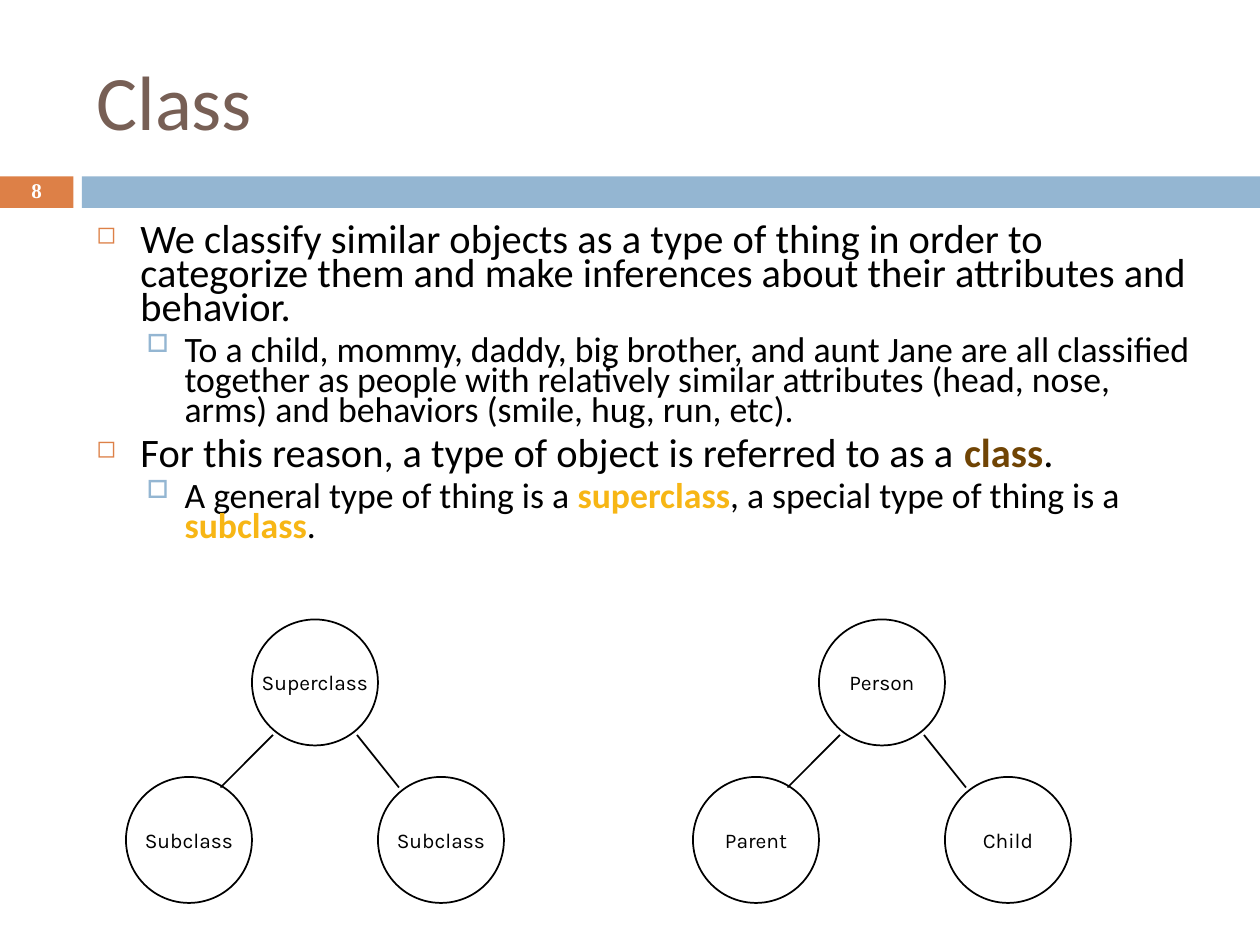
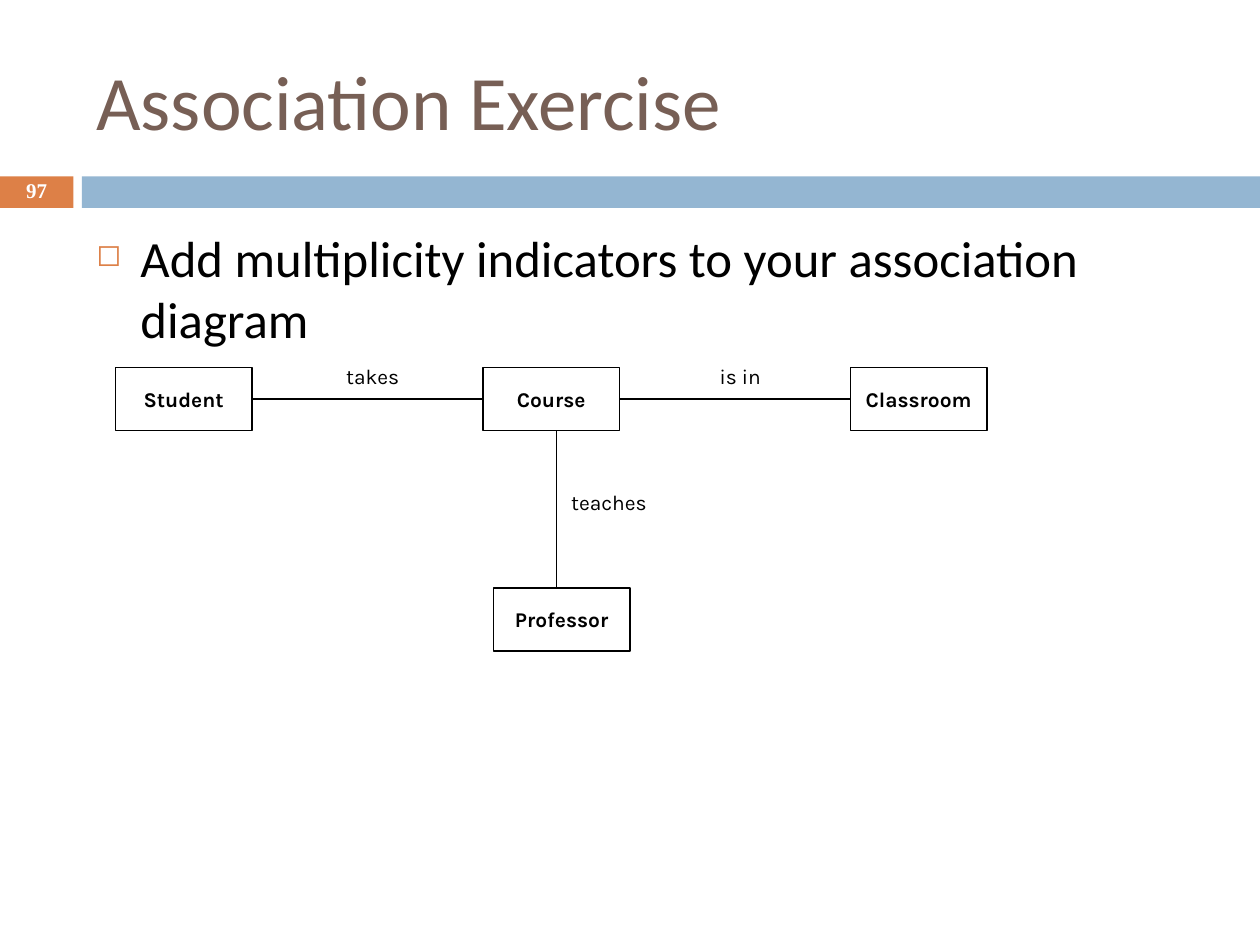
from dataclasses import dataclass

from lxml import etree
from pptx import Presentation
from pptx import util as u
from pptx.dml.color import RGBColor
from pptx.enum import shapes, text
from pptx.oxml import ns


@dataclass(frozen=True)
class Theme:
    title: str = "775F55"
    accent: str = "DD8047"
    band: str = "94B6D2"
    ink: str = "000000"
    paper: str = "FFFFFF"
    brown: str = "704404"
    gold: str = "F7B615"
    heading_font: str = "Calibri"
    label_font: str = "Karla"
    number_font: str = "Times New Roman"
    title_size: float = 44
    label_size: float = 12
    line_width: float = 1


@dataclass(frozen=True)
class Level:
    """Bullet style of one outline level; indents are in inches."""
    bullet: str
    color: str
    percent: int
    left: float
    hanging: float
    before: float


THEME = Theme()
LEVELS = (Level("◻", THEME.accent, 60, 0.35, 0.35, 7),
          Level("□", THEME.band, 70, 0.7, 0.3, 5.5))
COLUMNS, ROWS = 120, 90
WIDTH, HEIGHT = u.Inches(10), u.Inches(7.5)
TEXT_LEFT, TEXT_WIDTH = 8, 107
CENTER = text.PP_ALIGN.CENTER
RECTANGLE = shapes.MSO_SHAPE.RECTANGLE
OVAL = shapes.MSO_SHAPE.OVAL


def grid(*cells):
    """Turn alternating columns and rows into slide lengths."""
    steps = (WIDTH / COLUMNS, HEIGHT / ROWS)
    return [round(cell * steps[i % 2]) for i, cell in enumerate(cells)]


def rgb(color):
    return RGBColor.from_string(color)


def add_span(para, words, size, font, color=THEME.ink, bold=False):
    span = para.add_run()
    span.text = words
    span.font.size = u.Pt(size)
    span.font.name = font
    span.font.bold = bold
    span.font.color.rgb = rgb(color)


def add_box(page, cells, anchor=text.MSO_ANCHOR.TOP):
    box = page.shapes.add_textbox(*grid(*cells))
    box.text_frame.word_wrap = True
    box.text_frame.vertical_anchor = anchor
    return box


def add_shape(page, kind, cells, fill, line=None):
    shape = page.shapes.add_shape(kind, *grid(*cells))
    shape.shadow.inherit = False
    shape.fill.solid()
    shape.fill.fore_color.rgb = rgb(fill)
    if line:
        shape.line.color.rgb = rgb(line)
        shape.line.width = u.Pt(THEME.line_width)
    else:
        shape.line.fill.background()
    return shape


def add_node(page, kind, cells, words, bold=False):
    node = add_shape(page, kind, cells, THEME.paper, THEME.ink)
    frame = node.text_frame
    frame.word_wrap = False
    frame.vertical_anchor = text.MSO_ANCHOR.MIDDLE
    para = frame.paragraphs[0]
    para.alignment = CENTER
    add_span(para, words, THEME.label_size, THEME.label_font, bold=bold)
    return node


def add_line(page, cells=(0, 0, 0, 0)):
    line = page.shapes.add_connector(shapes.MSO_CONNECTOR.STRAIGHT, *grid(*cells))
    line.line.color.rgb = rgb(THEME.ink)
    line.line.width = u.Pt(THEME.line_width)
    etree.SubElement(line._element.spPr, ns.qn("a:effectLst"))
    return line


def join_across(page, left_node, right_node):
    line = add_line(page)
    line.begin_connect(left_node, 3)
    line.end_connect(right_node, 1)


def add_label(page, cells, words):
    para = add_box(page, cells).text_frame.paragraphs[0]
    para.alignment = CENTER
    add_span(para, words, THEME.label_size, THEME.label_font)


def set_bullet(para, level):
    props = para._p.get_or_add_pPr()
    props.set("marL", str(u.Inches(level.left)))
    props.set("indent", str(-u.Inches(level.hanging)))
    color = etree.SubElement(props, ns.qn("a:buClr"))
    etree.SubElement(color, ns.qn("a:srgbClr"), val=level.color)
    etree.SubElement(props, ns.qn("a:buSzPct"), val=str(level.percent * 1000))
    etree.SubElement(props, ns.qn("a:buChar"), char=level.bullet)


def add_outline(page, rows, sizes, items, spacing=1.0):
    """Each item is a level and its spans; a span is words and an optional highlight."""
    frame = add_box(page, (TEXT_LEFT, 21, TEXT_WIDTH, rows)).text_frame
    for index, (depth, spans) in enumerate(items):
        para = frame.add_paragraph() if index else frame.paragraphs[0]
        para.level = depth
        set_bullet(para, LEVELS[depth])
        para.line_spacing = spacing
        para.space_before = u.Pt(LEVELS[depth].before if index else 0)
        for words, *highlight in spans:
            add_span(para, words, sizes[depth], THEME.heading_font,
                     *highlight, bold=bool(highlight))


def add_page(deck, title, number):
    page = deck.slides.add_slide(deck.slide_layouts[6])
    add_shape(page, RECTANGLE, (0, 16.8, 7, 3), THEME.accent)
    add_shape(page, RECTANGLE, (7.8, 16.8, COLUMNS - 7.8, 3), THEME.band)
    middle = text.MSO_ANCHOR.MIDDLE
    heading = add_box(page, (TEXT_LEFT, 3, TEXT_WIDTH, 13), middle)
    add_span(heading.text_frame.paragraphs[0], title,
             THEME.title_size, THEME.heading_font, THEME.title)
    para = add_box(page, (0, 16.7, 7, 3.2), middle).text_frame.paragraphs[0]
    para.alignment = CENTER
    para.line_spacing = 0.8
    add_span(para, number, THEME.label_size, THEME.number_font, THEME.paper, True)
    return page


def add_class_tree(page, left, parent, children):
    size, top, child_top = 12, 59, 74
    add_node(page, OVAL, (left + size, top, size, size), parent)
    for index, child in enumerate(children):
        add_node(page, OVAL, (left + 2 * size * index, child_top, size, size), child)
    for start, end in ((14, 9), (22, 26)):
        add_line(page, (left + start, 70, left + end, 75))


def add_class_page(deck):
    page = add_page(deck, "Class", "8")
    add_outline(page, 38, (23.1, 20.4), (
        (0, [("We classify similar objects as a type of thing in order to categorize "
              "them and make inferences about their attributes and behavior.",)]),
        (1, [("To a child, mommy, daddy, big brother, and aunt Jane are all classified "
              "together as people with relatively similar attributes (head, nose, arms) "
              "and behaviors (smile, hug, run, etc).",)]),
        (0, [("For this reason, a type of object is referred to as a ",),
             ("class", THEME.brown), (".",)]),
        (1, [("A general type of thing is a ",), ("superclass", THEME.gold),
             (", a special type of thing is a ",), ("subclass", THEME.gold), (".",)]),
    ), spacing=0.7)
    add_class_tree(page, 12, "Superclass", ("Subclass", "Subclass"))
    add_class_tree(page, 66, "Person", ("Parent", "Child"))


def add_association_page(deck):
    page = add_page(deck, "Association Exercise", "97")
    add_outline(page, 59, (29,),
                [(0, [("Add multiplicity indicators to your association diagram",)])])
    width, height, top = 13, 6, 35
    student, course, classroom = [
        add_node(page, RECTANGLE, (11 + 35 * index, top, width, height), name, True)
        for index, name in enumerate(("Student", "Course", "Classroom"))]
    add_node(page, RECTANGLE, (47, 56, width, height), "Professor", True)
    join_across(page, student, course)
    join_across(page, course, classroom)
    add_line(page, (53, top + height, 53, 56))
    add_label(page, (25, 34, 21, 3.6), "takes")
    add_label(page, (51, 46, 14, 3.6), "teaches")
    add_label(page, (60, 34, 21, 3.6), "is in")


def main():
    deck = Presentation()
    deck.slide_width, deck.slide_height = WIDTH, HEIGHT
    add_class_page(deck)
    add_association_page(deck)
    deck.save("out.pptx")


if __name__ == "__main__":
    main()
